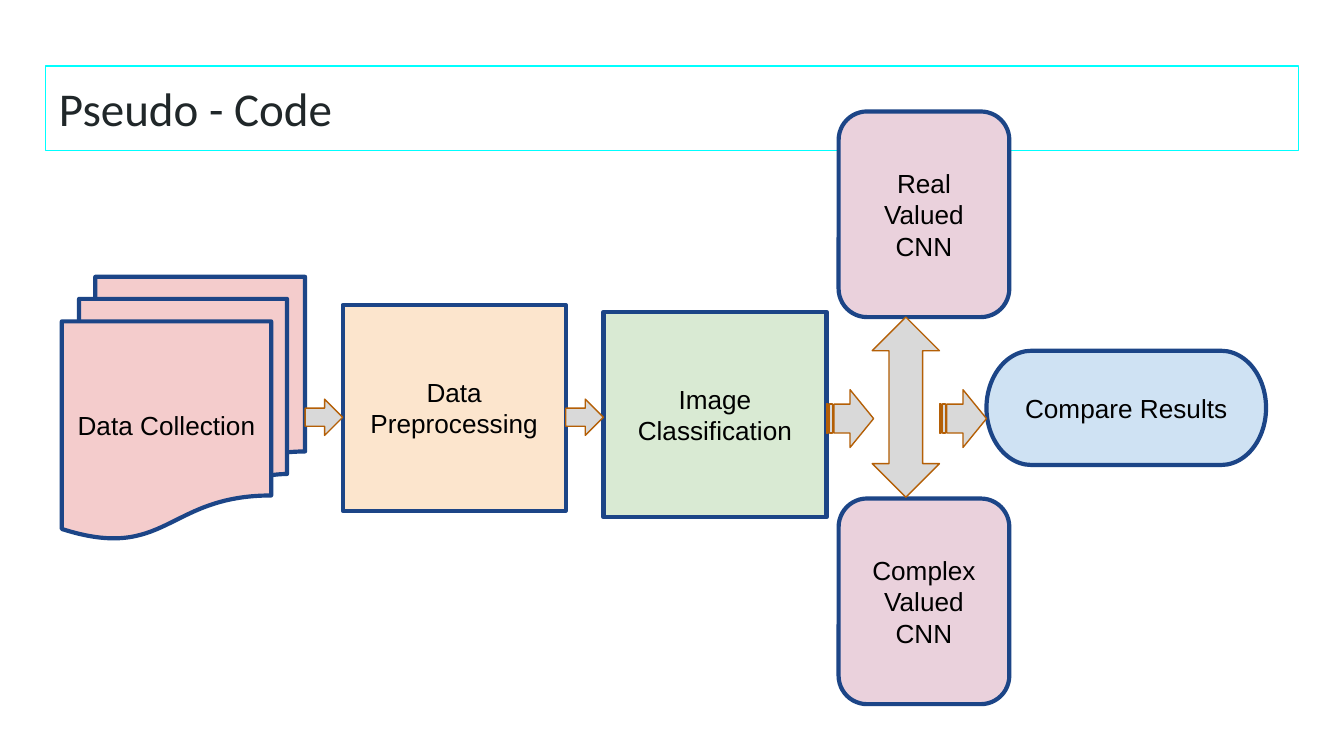
"""Build a flow diagram slide of an image classification pipeline."""
from pptx import Presentation
from pptx.dml.color import RGBColor
from pptx.enum.shapes import MSO_SHAPE
from pptx.enum.text import MSO_ANCHOR, PP_ALIGN
from pptx.util import Inches, Pt

RECTANGLE = MSO_SHAPE.RECTANGLE
DOCUMENTS = MSO_SHAPE.FLOWCHART_MULTIDOCUMENT
PROCESS = MSO_SHAPE.FLOWCHART_PROCESS
ALTERNATE = MSO_SHAPE.FLOWCHART_ALTERNATE_PROCESS
TERMINATOR = MSO_SHAPE.FLOWCHART_TERMINATOR
RIGHT_ARROW = MSO_SHAPE.RIGHT_ARROW
STRIPED_ARROW = MSO_SHAPE.STRIPED_RIGHT_ARROW
UP_DOWN_ARROW = MSO_SHAPE.UP_DOWN_ARROW
TOP, MIDDLE = MSO_ANCHOR.TOP, MSO_ANCHOR.MIDDLE
LEFT, CENTER = PP_ALIGN.LEFT, PP_ALIGN.CENTER

CYAN = RGBColor(0x00, 0xFF, 0xFF)
CHARCOAL = RGBColor(0x20, 0x27, 0x29)
BLACK = RGBColor(0x00, 0x00, 0x00)
NAVY = RGBColor(0x1C, 0x45, 0x87)
ROSE = RGBColor(0xF4, 0xCC, 0xCC)
PEACH = RGBColor(0xFC, 0xE5, 0xCD)
GREEN = RGBColor(0xD9, 0xEA, 0xD3)
MAUVE = RGBColor(0xEA, 0xD1, 0xDC)
BLUE = RGBColor(0xCF, 0xE2, 0xF3)
GREY = RGBColor(0xD9, 0xD9, 0xD9)
BROWN = RGBColor(0xB4, 0x5F, 0x06)

SLIDE_WIDTH = Inches(10)
SLIDE_HEIGHT = SLIDE_WIDTH * 9 // 16

STEPS = [
    ("Data Collection", DOCUMENTS, ROSE, (0.46, 2.06, 1.81, 1.95)),
    ("Data Preprocessing", PROCESS, PEACH, (2.55, 2.27, 1.66, 1.53)),
    ("Image Classification", RECTANGLE, GREEN, (4.49, 2.32, 1.66, 1.53)),
    ("Real Valued CNN", ALTERNATE, MAUVE, (6.24, 0.83, 1.27, 1.53)),
    ("Complex Valued CNN", ALTERNATE, MAUVE, (6.24, 3.71, 1.27, 1.53)),
    ("Compare Results", TERMINATOR, BLUE, (7.34, 2.61, 2.08, 0.85)),
]
ARROWS = [
    (RIGHT_ARROW, (2.27, 2.97, 0.28, 0.27)),
    (RIGHT_ARROW, (4.21, 2.97, 0.28, 0.27)),
    (UP_DOWN_ARROW, (6.49, 2.36, 0.5, 1.34)),
    (STRIPED_ARROW, (6.99, 2.9, 0.35, 0.43)),
    (STRIPED_ARROW, (6.15, 2.9, 0.35, 0.43)),
]


def write_text(holder, text, font_name, size, color, align, anchor):
    """Set one wrapped, styled paragraph in a shape or text box."""
    frame = holder.text_frame
    frame.word_wrap = True
    frame.vertical_anchor = anchor
    frame.margin_left = frame.margin_right = Inches(0.1)
    frame.margin_top = frame.margin_bottom = Inches(0.1)
    paragraph = frame.paragraphs[0]
    paragraph.alignment = align
    run = paragraph.add_run()
    run.text = text
    run.font.name = font_name
    run.font.size = Pt(size)
    run.font.color.rgb = color


def add_block(slide, geometry, box, fill, outline, width):
    """Add a filled, outlined preset shape without a shadow."""
    block = slide.shapes.add_shape(geometry, *map(Inches, box))
    block.shadow.inherit = False
    block.fill.solid()
    block.fill.fore_color.rgb = fill
    block.line.color.rgb = outline
    block.line.width = Pt(width)
    return block


def add_title(slide, text):
    """Add the framed slide heading."""
    title = slide.shapes.add_textbox(*map(Inches, (0.34, 0.49, 9.32, 0.63)))
    title.line.color.rgb = CYAN
    title.line.width = Pt(0.75)
    write_text(title, text, "Calibri", 25.2, CHARCOAL, LEFT, TOP)


def add_step(slide, label, geometry, fill, box):
    """Add one labelled stage of the pipeline."""
    step = add_block(slide, geometry, box, fill, NAVY, 2.25)
    write_text(step, label, "Arial", 14, BLACK, CENTER, MIDDLE)


def add_arrow(slide, geometry, box):
    """Add a block arrow between stages."""
    arrow = add_block(slide, geometry, box, GREY, BROWN, 0.75)
    arrow.adjustments[0] = arrow.adjustments[1] = 0.5


def main():
    """Compose the slide and save it."""
    deck = Presentation()
    deck.slide_width, deck.slide_height = SLIDE_WIDTH, SLIDE_HEIGHT
    slide = deck.slides.add_slide(deck.slide_layouts[6])
    add_title(slide, "Pseudo - Code")
    for step in STEPS:
        add_step(slide, *step)
    for arrow in ARROWS:
        add_arrow(slide, *arrow)
    deck.save("out.pptx")


if __name__ == "__main__":
    main()
